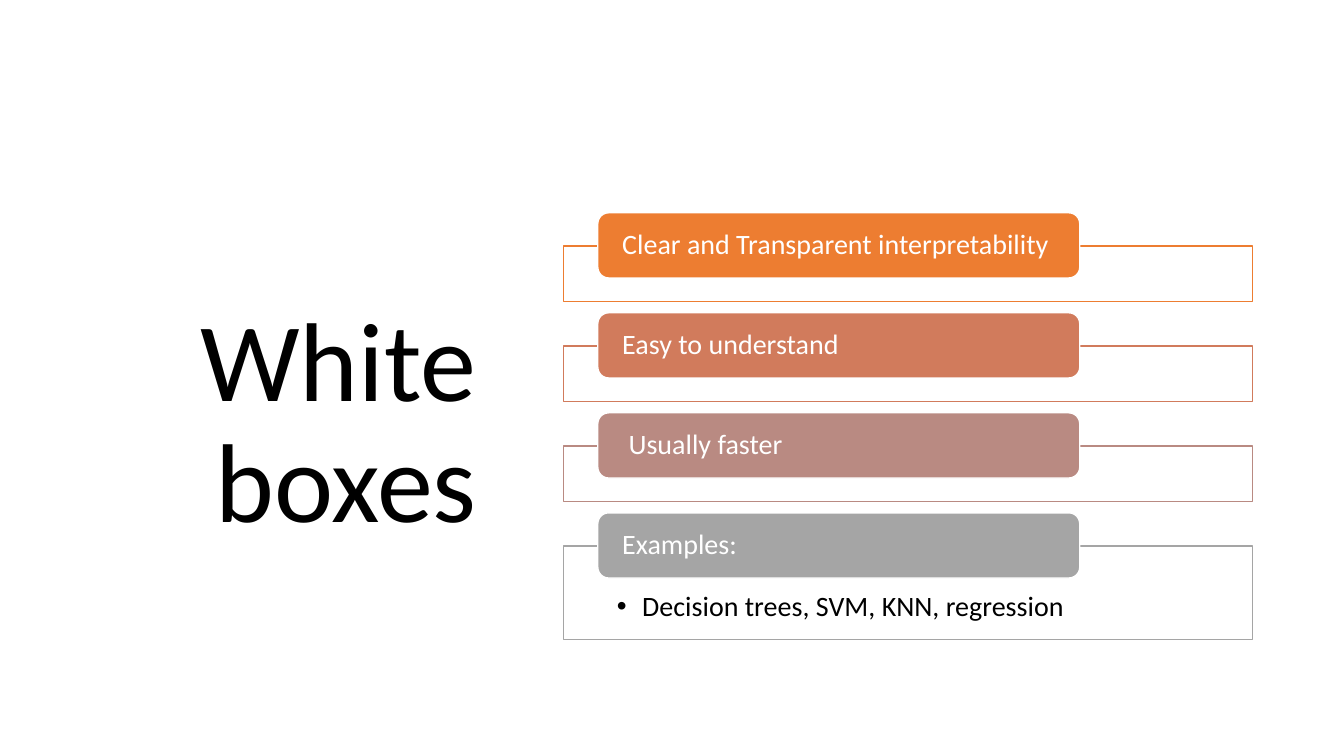
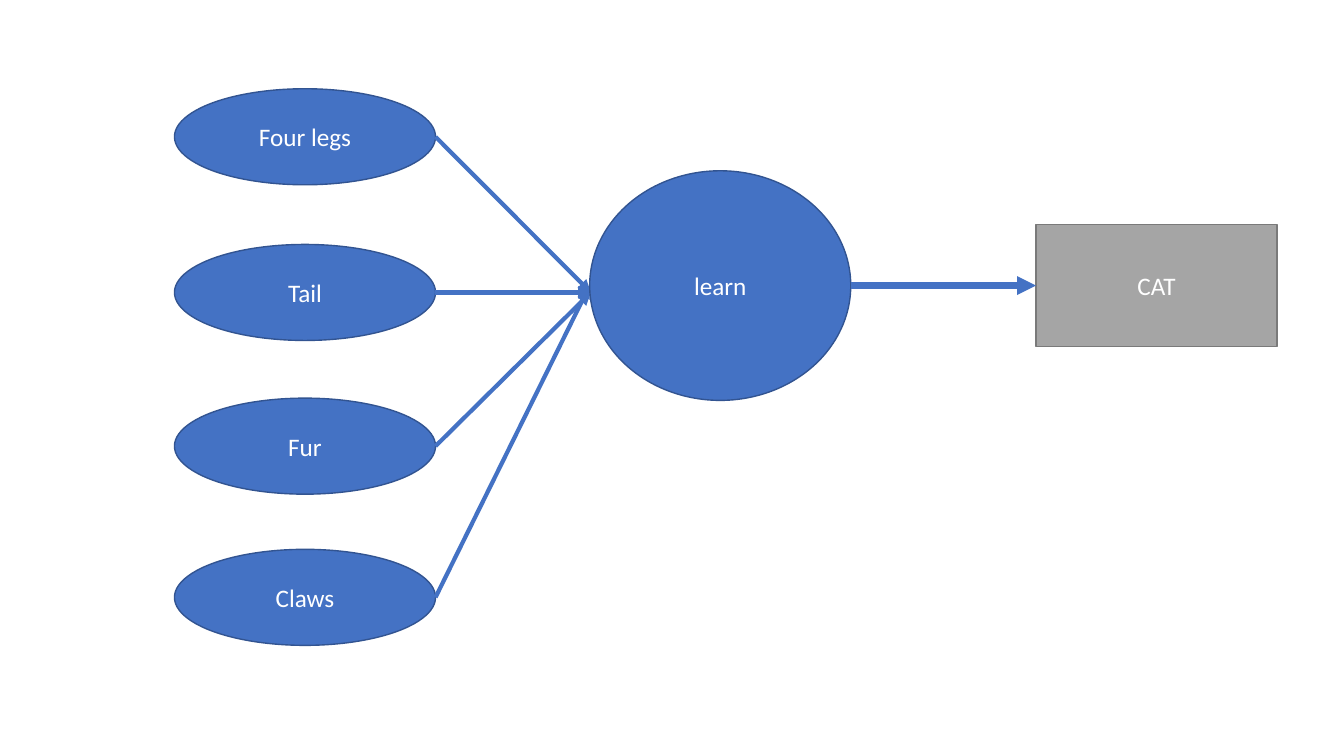
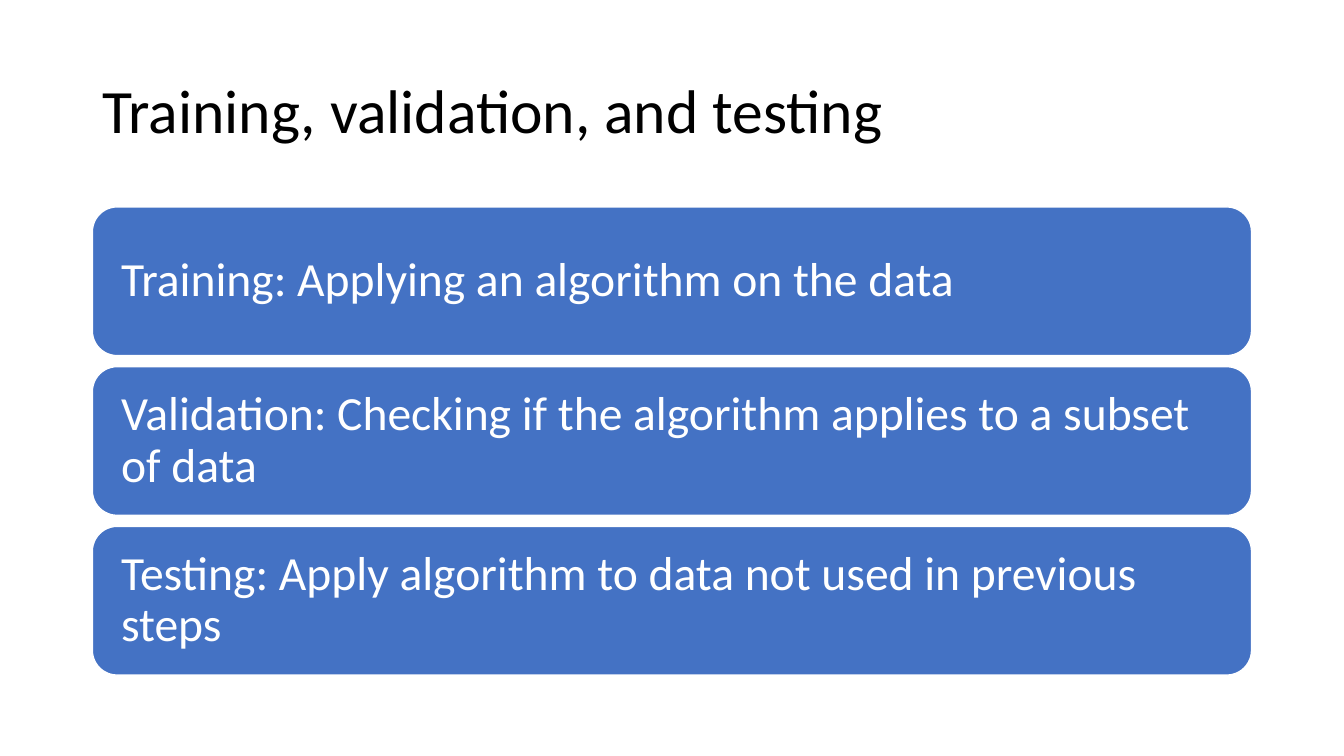
import pptx
import pptx.dml.color
import pptx.enum.shapes
import pptx.enum.text
import pptx.oxml.ns
import pptx.util
import lxml.etree

Pt = pptx.util.Pt
SHAPES = pptx.enum.shapes.MSO_SHAPE
ALIGN = pptx.enum.text.PP_ALIGN
ANCHOR = pptx.enum.text.MSO_ANCHOR
FONT = "Calibri"
BLACK, WHITE, BLUE, NAVY = "000000", "FFFFFF", "4472C4", "325491"
GREY, DARK_GREY = "A5A5A5", "7A7A7A"
TITLE_ONLY, BLANK = 5, 6

TRAITS = [
    ("Clear and Transparent interpretability", "ED7D31", ""),
    ("Easy to understand", "D17B5C", ""),
    (" Usually faster", "B98A82", ""),
    ("Examples:", GREY, "Decision trees, SVM, KNN, regression"),
]
FEATURES = [("Four legs", 63.4), ("Tail", 174.6), ("Fur", 284.4), ("Claws", 392.4)]
STEPS = [
    "Training: Applying an algorithm on the data",
    "Validation: Checking if the algorithm applies to a subset of data",
    "Testing: Apply algorithm to data not used in previous steps",
]


def color(value):
    return pptx.dml.color.RGBColor.from_string(value)


def add_xml(parent, tag, **attributes):
    return lxml.etree.SubElement(parent, pptx.oxml.ns.qn(tag), attributes)


def write_text(shape, text, size, ink=WHITE, align=ALIGN.LEFT, anchor=ANCHOR.MIDDLE,
               insets=(7.2, 3.6, 7.2, 3.6), spacing=0.9, bullet=False):
    frame = shape.text_frame
    frame.word_wrap = True
    frame.auto_size = pptx.enum.text.MSO_AUTO_SIZE.NONE
    frame.vertical_anchor = anchor
    frame.margin_left, frame.margin_top, frame.margin_right, frame.margin_bottom = map(Pt, insets)
    paragraph = frame.paragraphs[0]
    if bullet:
        properties = paragraph._p.get_or_add_pPr()
        properties.set("marL", str(Pt(18)))
        properties.set("indent", str(-Pt(18)))
        add_xml(properties, "a:buFont", typeface="Arial")
        add_xml(properties, "a:buChar", char="•")
    paragraph.alignment = align
    paragraph.line_spacing = spacing
    run = paragraph.add_run()
    run.text = text
    run.font.name = FONT
    run.font.size = Pt(size)
    run.font.color.rgb = color(ink)


def add_block(slide, kind, box, fill, outline):
    block = slide.shapes.add_shape(kind, *map(Pt, box))
    block.shadow.inherit = False
    block.fill.solid()
    block.fill.fore_color.rgb = color(fill)
    block.line.color.rgb = color(outline)
    block.line.width = Pt(1)
    return block


def add_node(slide, kind, text, box, fill=BLUE, outline=NAVY):
    node = add_block(slide, kind, box, fill, outline)
    write_text(node, text, 18, align=ALIGN.CENTER, spacing=1.0)
    return node


def add_arrow(slide, start, end, width):
    arrow = slide.shapes.add_connector(
        pptx.enum.shapes.MSO_CONNECTOR.STRAIGHT, *map(Pt, start + end))
    arrow.line.color.rgb = color(BLUE)
    arrow.line.width = Pt(width)
    add_xml(arrow.line._get_or_add_ln(), "a:tailEnd", type="triangle")
    add_xml(arrow._element.spPr, "a:effectLst")
    return arrow


def set_title(slide, text, box, size, align=ALIGN.LEFT):
    title = slide.shapes.title
    title.left, title.top, title.width, title.height = map(Pt, box)
    write_text(title, text, size, BLACK, align)


def build_white_boxes(deck):
    slide = deck.slides.add_slide(deck.slide_layouts[TITLE_ONLY])
    set_title(slide, "White boxes", (37.4, 84.2, 310.3, 440), 80, ALIGN.RIGHT)
    for index, (trait, accent, example) in enumerate(TRAITS):
        tab_top = 152 + index * 71.44
        panel_box = (402.5, tab_top + 23.6, 492, 67 if example else 39.6)
        panel = add_block(slide, SHAPES.RECTANGLE, panel_box, WHITE, accent)
        if example:
            write_text(panel, example, 20, BLACK, anchor=ANCHOR.TOP,
                       insets=(38.2, 33.1, 38.2, 11.5), bullet=True)
        tab = add_block(slide, SHAPES.ROUNDED_RECTANGLE, (427, tab_top, 344.3, 46.6), accent, WHITE)
        write_text(tab, trait, 20, insets=(15.2, 0, 15.2, 0))


def build_cat_network(deck):
    slide = deck.slides.add_slide(deck.slide_layouts[BLANK])
    left, width, height = 124.6, 186.5, 68.6
    learn_left, middle = 421.2, 204
    for feature, top in FEATURES:
        add_node(slide, SHAPES.OVAL, feature, (left, top, width, height))
        target = (learn_left, middle) if feature == "Claws" else (422, 208.9)
        add_arrow(slide, (left + width, top + height / 2), target, 3)
    add_node(slide, SHAPES.OVAL, "learn", (learn_left, middle - 82, width, 164))
    cat_left = 740
    cat = add_node(slide, SHAPES.RECTANGLE, "CAT", (cat_left, middle - 43.6, 172.2, 87.2),
                   GREY, DARK_GREY)
    prediction = add_arrow(slide, (learn_left + width, middle), (cat_left, middle), 4.5)
    prediction.end_connect(cat, 1)


def build_steps(deck):
    slide = deck.slides.add_slide(deck.slide_layouts[TITLE_ONLY])
    set_title(slide, "Training, validation, and testing", (66, 28.75, 828, 104.4), 44)
    for index, step in enumerate(STEPS):
        card_box = (66, 147.8 + index * 114.1, 828, 106.2)
        card = add_block(slide, SHAPES.ROUNDED_RECTANGLE, card_box, BLUE, WHITE)
        write_text(card, step, 34, insets=(15.4, 15.4, 15.4, 15.4))


def main():
    deck = pptx.Presentation()
    deck.slide_width, deck.slide_height = Pt(960), Pt(540)
    build_white_boxes(deck)
    build_cat_network(deck)
    build_steps(deck)
    deck.save("out.pptx")


if __name__ == "__main__":
    main()
